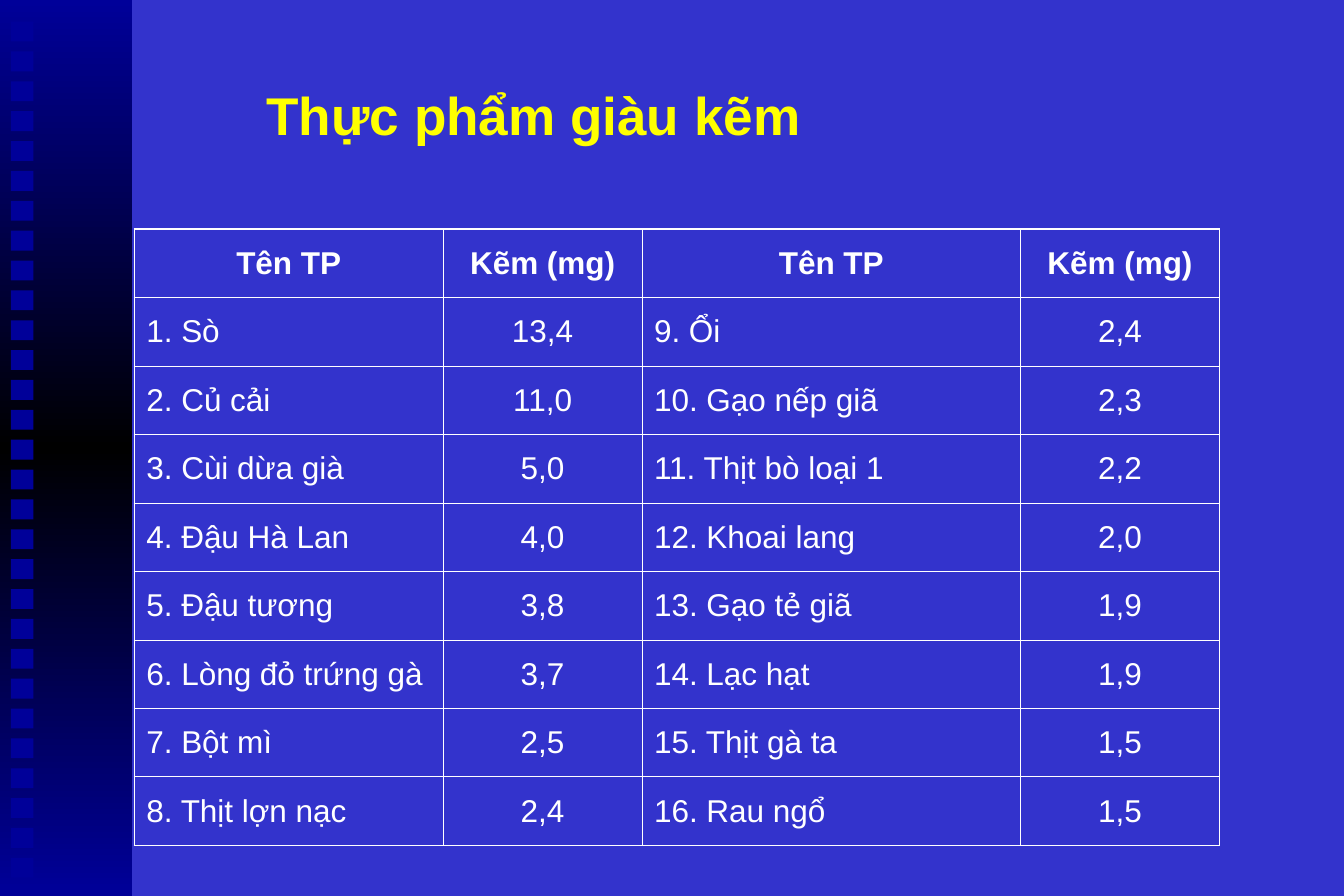
from copy import deepcopy
from lxml.etree import SubElement
from pptx import Presentation
from pptx.dml.color import RGBColor
from pptx.enum.shapes import MSO_SHAPE
from pptx.enum.text import MSO_ANCHOR, PP_ALIGN
from pptx.oxml.ns import qn
from pptx.util import Pt

COLORS = {"back": "3333CC", "navy": "000099", "black": "000000",
          "title": "FFFF00", "white": "FFFFFF"}
FOODS = [
    ("Tên TP", "Kẽm (mg)", "Tên TP", "Kẽm (mg)"),
    ("1. Sò", "13,4", "9. Ổi", "2,4"),
    ("2. Củ cải", "11,0", "10. Gạo nếp giã", "2,3"),
    ("3. Cùi dừa già", "5,0", "11. Thịt bò loại 1", "2,2"),
    ("4. Đậu Hà Lan", "4,0", "12. Khoai lang", "2,0"),
    ("5. Đậu tương", "3,8", "13. Gạo tẻ giã", "1,9"),
    ("6. Lòng đỏ trứng gà", "3,7", "14. Lạc hạt", "1,9"),
    ("7. Bột mì", "2,5", "15. Thịt gà ta", "1,5"),
    ("8. Thịt lợn nạc", "2,4", "16. Rau ngổ", "1,5"),
]
WIDTHS = [186, 120, 228, 120]
ROW = 41.28
THICK, THIN = 1.08, 0.45


def color(name):
    return RGBColor.from_string(COLORS[name])


def style(para, size, name, bold):
    font = para.font
    font.name, font.size, font.bold = "Arial", Pt(size), bold
    font.color.rgb = color(name)


def add_rect(slide, left, top, width, height):
    rect = slide.shapes.add_shape(MSO_SHAPE.RECTANGLE, Pt(left), Pt(top),
                                  Pt(width), Pt(height))
    rect.shadow.inherit = False
    rect.line.fill.background()
    return rect


def add_band(slide):
    """Shade the left band from navy to black and back."""
    band = add_rect(slide, 0, 0, 79.5, 540)
    band.fill.gradient()
    band.fill.gradient_angle = 90
    stops = band.element.xpath(".//a:gsLst")[0]
    stops.append(deepcopy(stops[-1]))
    names = ["navy", "black", "navy"]
    for i, (stop, name) in enumerate(zip(band.fill.gradient_stops, names)):
        stop.position = i / 2
        stop.color.rgb = color(name)


def add_squares(slide):
    for i in range(29):
        square = add_rect(slide, 6.5, 13 + 18 * i, 13.7, 12)
        square.fill.solid()
        square.fill.fore_color.rgb = color("navy")


def add_title(slide, text):
    box = slide.shapes.add_textbox(Pt(152.7), Pt(24), Pt(576), Pt(90))
    frame = box.text_frame
    frame.word_wrap = True
    frame.vertical_anchor = MSO_ANCHOR.MIDDLE
    frame.margin_left = frame.margin_right = Pt(8)
    frame.margin_top = frame.margin_bottom = Pt(4)
    frame.text = text
    style(frame.paragraphs[0], 32, "title", True)


def add_border(cell, side, width):
    props = cell._tc.get_or_add_tcPr()
    line = SubElement(props, qn(f"a:ln{side}"), w=str(Pt(width)))
    fill = SubElement(line, qn("a:solidFill"))
    SubElement(fill, qn("a:srgbClr"), val=COLORS["white"])


def fill_cell(cell, text, row, col):
    edges = {"L": col == 0, "R": col == len(WIDTHS) - 1,
             "T": row == 0, "B": row == len(FOODS) - 1}
    for side, outer in edges.items():
        add_border(cell, side, THICK if outer else THIN)
    cell.fill.background()
    cell.vertical_anchor = MSO_ANCHOR.MIDDLE
    cell.text = text
    para = cell.text_frame.paragraphs[0]
    centred = row == 0 or col % 2 == 1
    para.alignment = PP_ALIGN.CENTER if centred else PP_ALIGN.LEFT
    style(para, 19, "white", row == 0)


def add_foods(slide):
    frame = slide.shapes.add_table(len(FOODS), len(WIDTHS), Pt(81), Pt(138),
                                   Pt(sum(WIDTHS)), Pt(ROW * len(FOODS)))
    table = frame.table
    table.first_row = table.horz_banding = False
    for col, width in zip(table.columns, WIDTHS):
        col.width = Pt(width)
    for r, texts in enumerate(FOODS):
        table.rows[r].height = Pt(ROW)
        for c, text in enumerate(texts):
            fill_cell(table.cell(r, c), text, r, c)


def main():
    deck = Presentation()
    deck.slide_width, deck.slide_height = Pt(810), Pt(540)
    slide = deck.slides.add_slide(deck.slide_layouts[6])
    slide.background.fill.solid()
    slide.background.fill.fore_color.rgb = color("back")
    add_band(slide)
    add_squares(slide)
    add_title(slide, "Thực phẩm giàu kẽm")
    add_foods(slide)
    deck.save("out.pptx")


if __name__ == "__main__":
    main()
